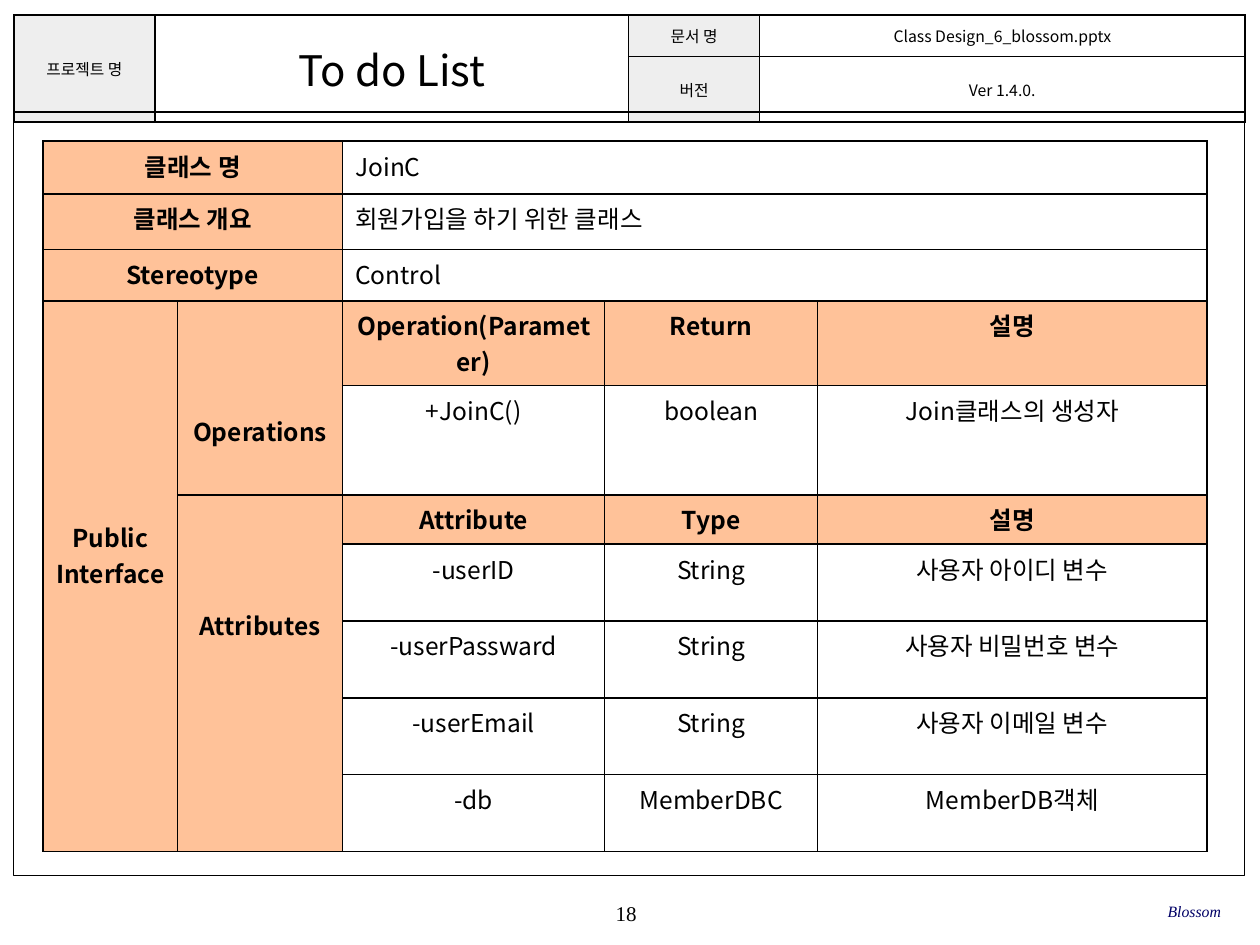
from pptx import Presentation, util as u
from pptx.dml.color import RGBColor
from pptx.enum import shapes, text
from pptx.oxml.ns import qn
from lxml import etree

# Content: (row, column, rows spanned, columns spanned, text, size, fill)
HEAD = [
    (0, 0, 2, 1, "프로젝트 명", 9, "gray"),
    (0, 1, 2, 1, "To do List", 24, None),
    (0, 2, 1, 1, "문서 명", 9, "gray"),
    (0, 3, 1, 1, "Class Design_6_blossom.pptx", 9, None),
    (1, 2, 1, 1, "버전", 9, "gray"),
    (1, 3, 1, 1, "Ver 1.4.0.", 9, None),
]
FACTS = [
    ("클래스 명", "JoinC"),
    ("클래스 개요", "회원가입을 하기 위한 클래스"),
    ("Stereotype", "Control"),
]
# Side labels: row, column, rows spanned, text, lines set down
SIDES = [
    (3, 0, 7, "Public\nInterface", 6),
    (3, 1, 2, "Operations", 3),
    (5, 1, 5, "Attributes", 3),
]
MEMBERS = [
    ("Operation(Parameter)", "Return", "설명"),
    ("+JoinC()", "boolean", "Join클래스의 생성자"),
    ("Attribute", "Type", "설명"),
    ("-userID", "String", "사용자 아이디 변수"),
    ("-userPassward", "String", "사용자 비밀번호 변수"),
    ("-userEmail", "String", "사용자 이메일 변수"),
    ("-db", "MemberDBC", "MemberDB객체"),
]
TITLES = (0, 2)  # member rows that are column titles

COLORS = {"black": "000000", "gray": "EEEEEE", "peach": "FFC299",
          "white": "FFFFFF", "navy": "000066"}
SANS, SERIF = "Noto Sans CJK KR", "Times New Roman"
LINE = 0.28  # height of one line of body text
LEFT, MID, RIGHT = (text.PP_ALIGN.LEFT, text.PP_ALIGN.CENTER,
                    text.PP_ALIGN.RIGHT)


def color(name):
    return RGBColor.from_string(COLORS[name])


def write(frame, words, size, face=SANS, ink="black", bold=False,
          italic=False, align=MID):
    frame.text = words
    for para in frame.paragraphs:
        para.alignment = align
        for run in para.runs:
            font = run.font
            font.size, font.name = u.Pt(size), face
            font.bold, font.italic = bold, italic
            font.color.rgb = color(ink)
            etree.SubElement(font._element, qn("a:ea"), typeface=face)


def border(cell):
    props = cell._tc.get_or_add_tcPr()
    for at, side in enumerate(("lnL", "lnR", "lnT", "lnB")):
        line = etree.Element(qn("a:" + side), w=str(u.Pt(1)))
        fill = etree.SubElement(line, qn("a:solidFill"))
        etree.SubElement(fill, qn("a:srgbClr"), val=COLORS["black"])
        props.insert(at, line)


def grid(slide, left, top, cols, rows):
    frame = slide.shapes.add_table(
        len(rows), len(cols), u.Inches(left), u.Inches(top),
        u.Inches(sum(cols)), u.Inches(sum(rows)))
    table = frame.table
    table.first_row = table.horz_banding = False
    for col, size in zip(table.columns, cols):
        col.width = u.Inches(size)
    for row, size in zip(table.rows, rows):
        row.height = u.Inches(size)
    for cell in table.iter_cells():
        cell.fill.background()
        border(cell)
    return table


def put(table, row, col, high, wide, words, size, fill, **style):
    cell = table.cell(row, col)
    if high * wide > 1:
        cell.merge(table.cell(row + high - 1, col + wide - 1))
    if fill:
        cell.fill.solid()
        cell.fill.fore_color.rgb = color(fill)
    write(cell.text_frame, words, size, **style)
    return cell


def label(slide, place, words, size, **style):
    box = slide.shapes.add_textbox(*map(u.Inches, place)).text_frame
    box.word_wrap = True
    box.margin_left = box.margin_right = box.margin_top = box.margin_bottom = 0
    box.vertical_anchor = text.MSO_ANCHOR.MIDDLE
    write(box, words, size, face=SERIF, **style)


def main():
    deck = Presentation()
    deck.slide_width, deck.slide_height = u.Inches(10), u.Inches(7.5)
    slide = deck.slides.add_slide(deck.slide_layouts[6])

    # Page number
    label(slide, (3.93, 7.08, 2.08, 0.33), "18", 12)

    # Document header
    head = grid(slide, 0.11, 0.12, [1.12, 3.76, 1.04, 3.85], [0.33, 0.52])
    for item in HEAD:
        cell = put(head, *item)
        cell.vertical_anchor = text.MSO_ANCHOR.MIDDLE
        cell.margin_left = cell.margin_right = u.Inches(0.04)
        cell.margin_top = cell.margin_bottom = u.Inches(0.02)

    # Page frame
    frame = slide.shapes.add_shape(
        shapes.MSO_SHAPE.RECTANGLE, *map(u.Inches, (0.11, 0.89, 9.77, 6.06)))
    frame.shadow.inherit = False
    frame.fill.background()
    frame.line.color.rgb = color("black")
    frame.line.width = u.Pt(0.75)

    # Team name
    label(slide, (6.63, 7.07, 3.06, 0.33), "Blossom", 9,
          ink="navy", italic=True, align=RIGHT)

    # Class table
    body = grid(slide, 0.34, 1.12, [1.07, 1.31, 2.08, 1.69, 3.09],
                [0.42, 0.44, 0.41, 0.67, 0.87, 0.39] + [0.61] * 4)
    for row, (name, value) in enumerate(FACTS):
        put(body, row, 0, 1, 2, name, 14, "peach", bold=True)
        put(body, row, 2, 1, 3, value, 14, "white", align=LEFT)
    for row, col, high, words, drop in SIDES:
        cell = put(body, row, col, high, 1, words, 14, "peach", bold=True)
        cell.margin_top = u.Inches(0.05 + drop * LINE)
    for at, member in enumerate(MEMBERS):
        title = at in TITLES
        for col, words in enumerate(member, 2):
            put(body, len(FACTS) + at, col, 1, 1, words, 14,
                "peach" if title else "white", bold=title)

    deck.save("out.pptx")


if __name__ == "__main__":
    main()
